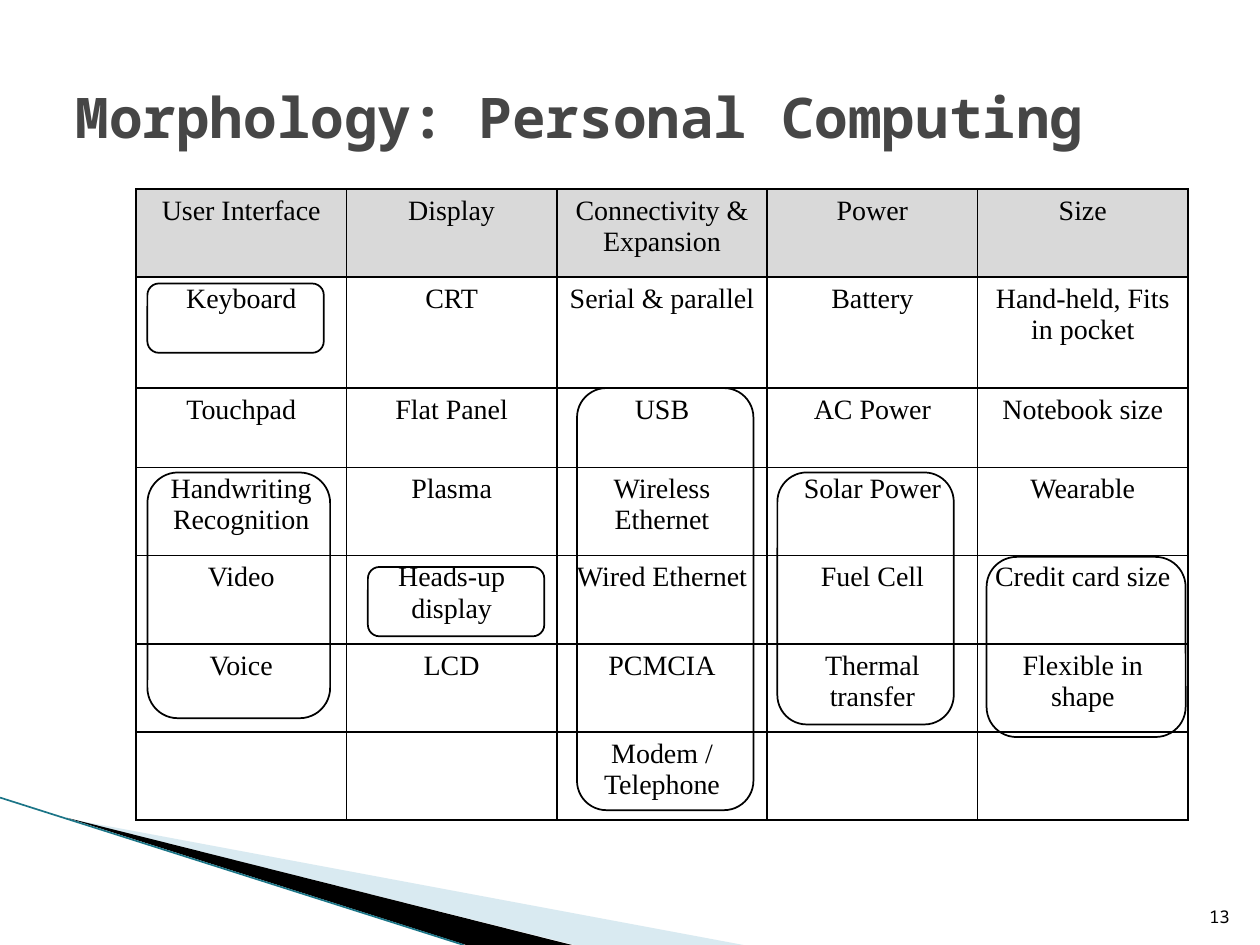
from lxml.etree import SubElement
from pptx import Presentation
from pptx.dml.color import RGBColor
from pptx.enum.shapes import MSO_CONNECTOR, MSO_SHAPE
from pptx.enum.text import MSO_ANCHOR as Anchor, PP_ALIGN as Align
from pptx.oxml.ns import qn
from pptx.util import Inches, Pt

MONO = "Noto Sans Mono"
SERIF = "Times New Roman"
BLACK = "000000"
COLUMN_WIDTH = 1.67
ROW_HEIGHTS = [0.7, 0.88, 0.63, 0.7, 0.7, 0.7, 0.7]
OPTIONS = [
    ["User Interface", "Display", "Connectivity & Expansion", "Power", "Size"],
    ["Keyboard", "CRT", "Serial & parallel", "Battery", "Hand-held, Fits in pocket"],
    ["Touchpad", "Flat Panel", "USB", "AC Power", "Notebook size"],
    ["Handwriting Recognition", "Plasma", "Wireless Ethernet", "Solar Power", "Wearable"],
    ["Video", "Heads-up display", "Wired Ethernet", "Fuel Cell", "Credit card size"],
    ["Voice", "LCD", "PCMCIA", "Thermal transfer", "Flexible in shape"],
    ["", "", "Modem / Telephone", "", ""],
]
SELECTIONS = [
    (1.17, 2.25, 1.4, 0.55),
    (1.17, 3.75, 1.45, 1.95),
    (2.92, 4.5, 1.4, 0.55),
    (4.58, 3.08, 1.4, 3.35),
    (6.17, 3.75, 1.4, 2),
    (7.83, 4.42, 1.58, 1.43),
]


def color(value):
    return RGBColor.from_string(value)


def style(paragraph, size, name, shade=BLACK, bold=False, align=Align.LEFT):
    paragraph.alignment = align
    font = paragraph.font
    font.size, font.name, font.bold = Pt(size), name, bold
    font.color.rgb = color(shade)


def add_label(slide, text, box, anchor, *look, **options):
    frame = slide.shapes.add_textbox(*map(Inches, box)).text_frame
    frame.word_wrap = True
    frame.vertical_anchor = anchor
    frame.text = text
    style(frame.paragraphs[0], *look, **options)


def add_wedge(slide, points, shade, opacity=100):
    start, *rest = [(Inches(x), Inches(y)) for x, y in points]
    builder = slide.shapes.build_freeform(*start)
    builder.add_line_segments(rest)
    wedge = builder.convert_to_shape()
    wedge.shadow.inherit = False
    wedge.line.fill.background()
    wedge.fill.solid()
    wedge.fill.fore_color.rgb = color(shade)
    if opacity < 100:
        fill_color = wedge.fill._xPr.find(qn("a:solidFill"))[0]
        SubElement(fill_color, qn("a:alpha"), val=str(opacity * 1000))


def add_edge(slide, start, end, shade, width):
    edge = slide.shapes.add_connector(
        MSO_CONNECTOR.STRAIGHT, *map(Inches, start + end))
    edge.line.color.rgb = color(shade)
    edge.line.width = Pt(width)
    SubElement(edge._element.spPr, qn("a:effectLst"))


def add_borders(cell):
    properties = cell._tc.get_or_add_tcPr()
    for side in ("lnL", "lnR", "lnT", "lnB"):
        border = SubElement(properties, qn(f"a:{side}"), w=str(Pt(1)))
        fill = SubElement(border, qn("a:solidFill"))
        SubElement(fill, qn("a:srgbClr"), val=BLACK)


def add_morphology(slide):
    width = COLUMN_WIDTH * len(OPTIONS[0])
    table = slide.shapes.add_table(
        len(OPTIONS), len(OPTIONS[0]), Inches(1.08), Inches(1.5),
        Inches(width), Inches(sum(ROW_HEIGHTS))).table
    table.horz_banding = False
    table.first_row = False
    for column in table.columns:
        column.width = Inches(COLUMN_WIDTH)
    for index, (row, height) in enumerate(zip(table.rows, ROW_HEIGHTS)):
        row.height = Inches(height)
        for cell, option in zip(row.cells, OPTIONS[index]):
            add_borders(cell)
            if index == 0:
                cell.fill.solid()
                cell.fill.fore_color.rgb = color("D9D9D9")
            else:
                cell.fill.background()
            cell.text = option
            style(cell.text_frame.paragraphs[0], 16, SERIF, align=Align.CENTER)


def add_selection(slide, box):
    ring = slide.shapes.add_shape(
        MSO_SHAPE.ROUNDED_RECTANGLE, *map(Inches, box))
    ring.shadow.inherit = False
    ring.fill.background()
    ring.line.color.rgb = color(BLACK)
    ring.line.width = Pt(1)


def main():
    deck = Presentation()
    deck.slide_width, deck.slide_height = Inches(10), Inches(7.5)
    slide = deck.slides.add_slide(deck.slide_layouts[6])
    add_wedge(slide, [(0.55, 6.5), (5.9, 7.5), (4.56, 7.5)], "A0CBDC", 40)
    add_wedge(slide, [(0.53, 6.49), (4.54, 7.5), (3.7, 7.5)], BLACK)
    add_edge(slide, (0, 6.33), (3.68, 7.5), "1B7587", 0.95)
    add_label(slide, "Morphology: Personal Computing", (0.5, 0.3, 8.75, 1.25),
              Anchor.MIDDLE, 32, MONO, "464646", bold=True)
    add_label(slide, "13", (9.46, 7.01, 0.4, 0.4),
              Anchor.BOTTOM, 10, MONO, align=Align.RIGHT)
    add_morphology(slide)
    for box in SELECTIONS:
        add_selection(slide, box)
    deck.save("out.pptx")


if __name__ == "__main__":
    main()
